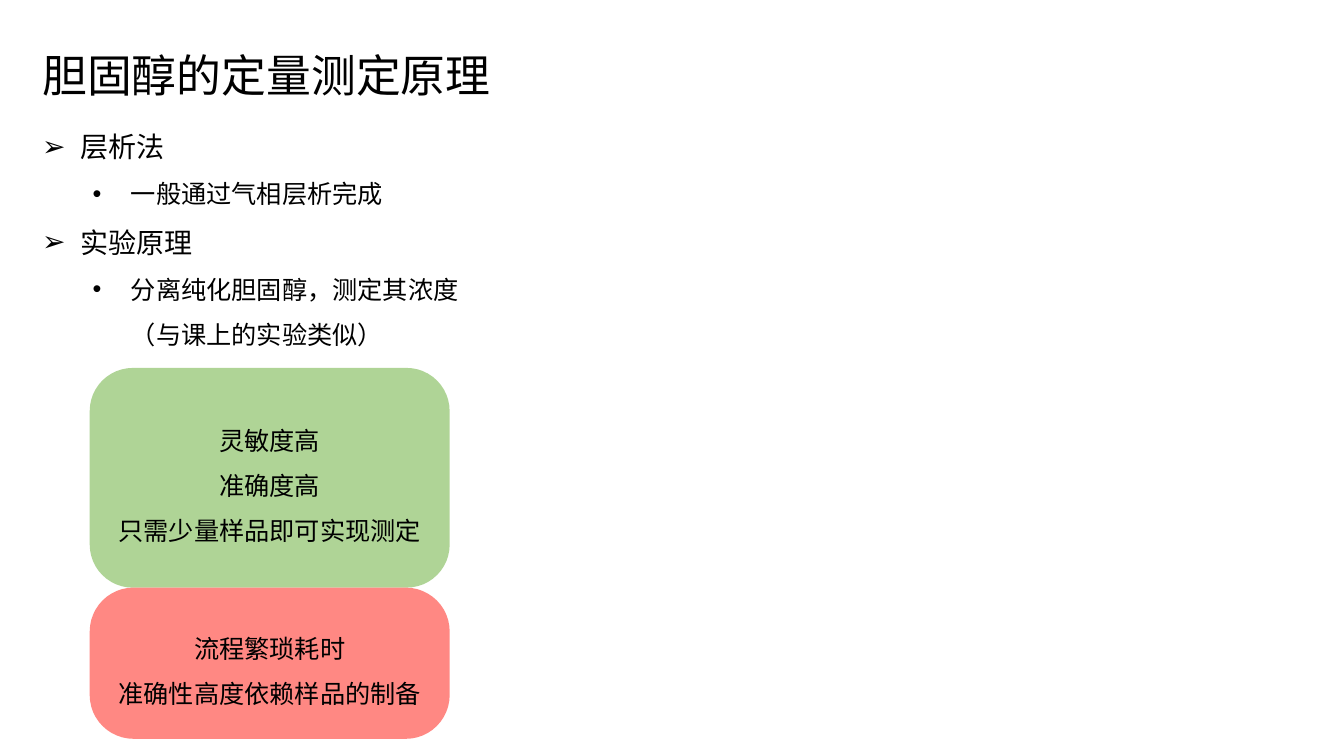
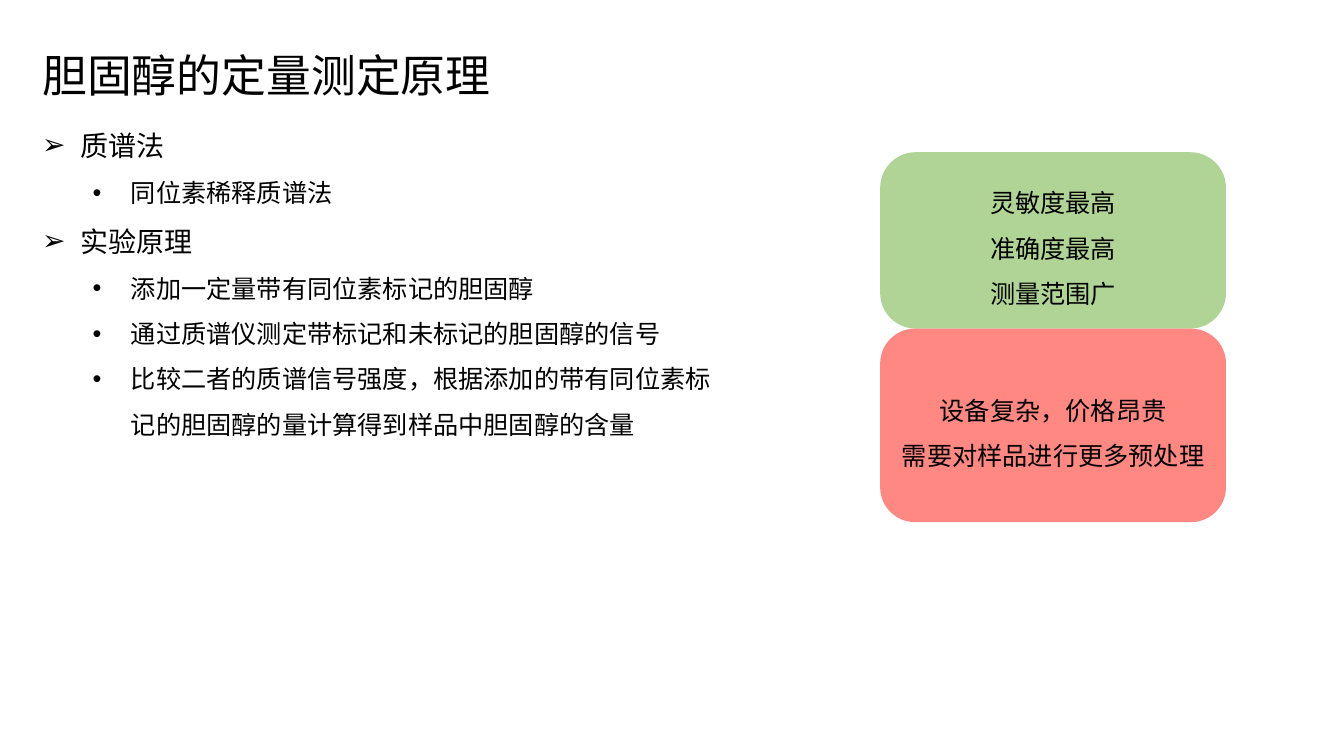
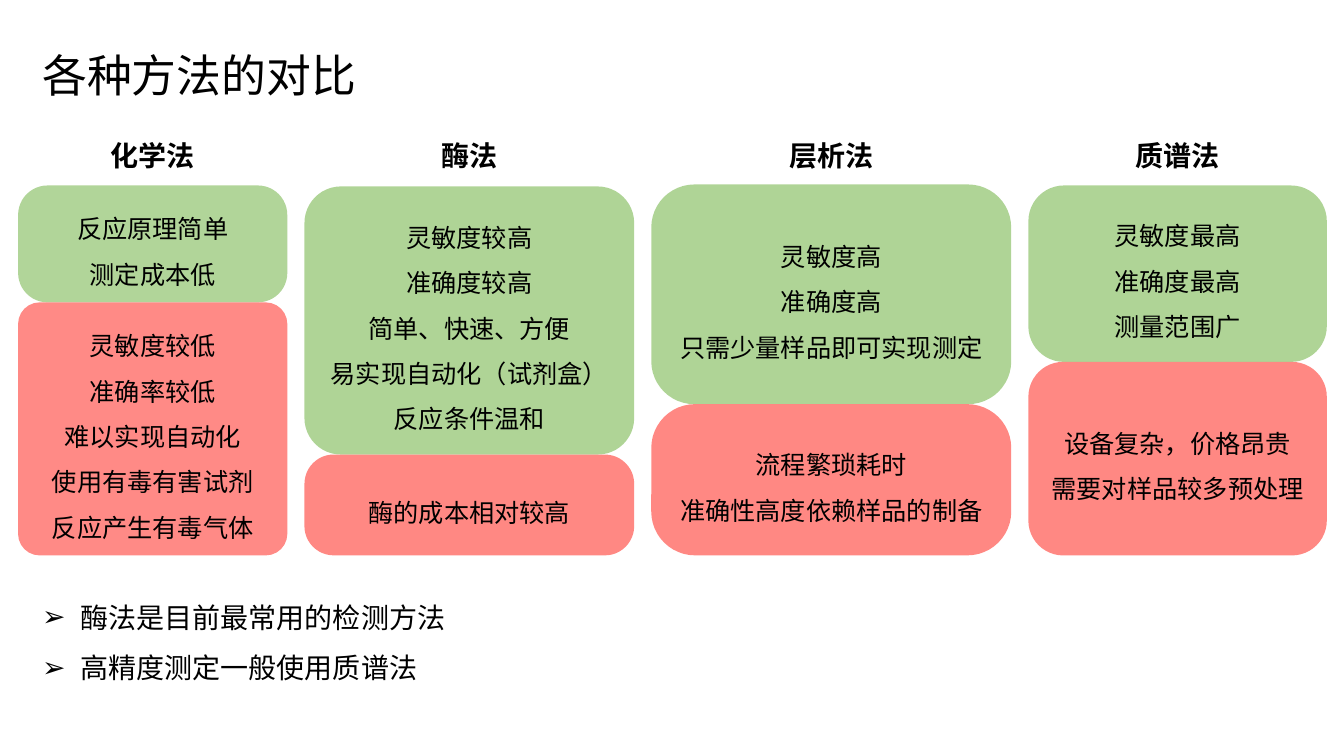
"""Build three slides comparing methods of cholesterol measurement."""
from dataclasses import dataclass

from lxml.etree import SubElement
from pptx import Presentation
from pptx.dml.color import RGBColor
from pptx.enum.shapes import MSO_SHAPE
from pptx.enum.text import MSO_ANCHOR, MSO_AUTO_SIZE, PP_ALIGN
from pptx.oxml.ns import qn
from pptx.util import Inches, Pt

COLORS = {"text": "000000", "pros": "A9D18E", "cons": "FF7E79"}
FONT = "Calibri"
MARGIN = 0.32
PRINCIPLE_TITLE = "胆固醇的定量测定原理"
BULLETS = [("➢", 0.38, 20), ("•", 0.88, 18)]
HANGING = 0.38


@dataclass
class Card:
    """One rounded card of pros or cons."""
    height: float
    rounding: float
    lines: list
    font: str = FONT


@dataclass
class Method:
    """A measuring method with its pros and cons cards."""
    name: str
    width: float
    pros: Card
    cons: Card
    opacity: int = 92

    def height(self):
        """Return the height of both cards together."""
        return self.pros.height + self.cons.height


CHEMICAL = Method(
    "化学法", 2.67,
    Card(1.16, 0.252, ["反应原理简单", "测定成本低"]),
    Card(2.51, 0.085, ["灵敏度较低", "准确率较低", "难以实现自动化",
                       "使用有毒有害试剂", "反应产生有毒气体"]),
    opacity=90)
ENZYME = Method(
    "酶法", 3.27,
    Card(2.66, 0.136, ["灵敏度较高", "准确度较高", "简单、快速、方便",
                       "易实现自动化（试剂盒）", "反应条件温和"]),
    Card(1.0, 0.29, ["酶的成本相对较高"]))
CHROMATOGRAPHY = Method(
    "层析法", 3.57,
    Card(2.18, 0.196, ["灵敏度高", "准确度高", "只需少量样品即可实现测定"], "Arial"),
    Card(1.5, 0.29, ["流程繁琐耗时", "准确性高度依赖样品的制备"]))


def mass_spectrometry(width, preparation):
    """Return the mass spectrometry method with its preparation remark."""
    return Method(
        "质谱法", width,
        Card(1.75, 0.202, ["灵敏度最高", "准确度最高", "测量范围广"]),
        Card(1.92, 0.18, ["设备复杂，价格昂贵", preparation]))


def style(para, size, font=FONT, bold=False):
    """Set the font of a whole paragraph."""
    para.font.name = font
    para.font.size = Pt(size)
    para.font.bold = bold
    para.font.color.rgb = RGBColor.from_string(COLORS["text"])


def paragraphs(frame, texts):
    """Fill a text frame and return its paragraphs."""
    frame.text = "\n".join(texts)
    return frame.paragraphs


def add_page(deck, title):
    """Add a slide with the shared title style."""
    page = deck.slides.add_slide(deck.slide_layouts[5])
    box = page.shapes.title
    box.left, box.top = Inches(MARGIN), Inches(0.42)
    box.width, box.height = Inches(7.45), Inches(0.64)
    frame = box.text_frame
    frame.auto_size = MSO_AUTO_SIZE.NONE
    frame.vertical_anchor = MSO_ANCHOR.TOP
    para = paragraphs(frame, [title])[0]
    para.alignment = PP_ALIGN.LEFT
    style(para, 32)
    return page


def add_text_box(page, left, top, width, height):
    """Add a wrapping text box and return its frame."""
    box = page.shapes.add_textbox(
        Inches(left), Inches(top), Inches(width), Inches(height))
    box.text_frame.word_wrap = True
    return box.text_frame


def add_outline(page, top, width, height, items):
    """Add a bulleted outline of (level, text) items."""
    frame = add_text_box(page, MARGIN, top, width, height)
    texts = [text for _, text in items]
    for para, (level, _) in zip(paragraphs(frame, texts), items):
        symbol, indent, size = BULLETS[level]
        para.level = level
        para.line_spacing = 1.5
        properties = para._p.get_or_add_pPr()
        properties.set("marL", str(Inches(indent)))
        properties.set("indent", str(-Inches(HANGING)))
        SubElement(properties, qn("a:buFont"), typeface="Arial")
        SubElement(properties, qn("a:buChar"), char=symbol)
        style(para, size)


def add_card(page, left, top, width, card, color, opacity):
    """Add one translucent rounded card."""
    shape = page.shapes.add_shape(
        MSO_SHAPE.ROUNDED_RECTANGLE, Inches(left), Inches(top),
        Inches(width), Inches(card.height))
    shape.adjustments[0] = card.rounding
    shape.shadow.inherit = False
    shape.line.fill.background()
    shape.fill.solid()
    shape.fill.fore_color.rgb = RGBColor.from_string(color)
    fill_color = shape.element.spPr.find(".//" + qn("a:srgbClr"))
    SubElement(fill_color, qn("a:alpha"), val=str(opacity * 1000))
    shape.text_frame.vertical_anchor = MSO_ANCHOR.MIDDLE
    for para in paragraphs(shape.text_frame, card.lines):
        para.alignment = PP_ALIGN.CENTER
        para.line_spacing = 1.5
        style(para, 18, card.font)


def add_method(page, left, top, method):
    """Stack the pros card on the cons card of a method."""
    cards = [(method.pros, COLORS["pros"]), (method.cons, COLORS["cons"])]
    for card, color in cards:
        add_card(page, left, top, method.width, card, color, method.opacity)
        top += card.height


def add_comparison(page, left, bottom, gap, methods):
    """Set headed methods side by side on a common bottom line."""
    for method in methods:
        frame = add_text_box(page, left, 1.33, method.width, 0.44)
        heading = paragraphs(frame, [method.name])[0]
        heading.alignment = PP_ALIGN.CENTER
        style(heading, 20, bold=True)
        add_method(page, left, bottom - method.height(), method)
        left += method.width + gap


def main():
    """Build and save the deck."""
    deck = Presentation()
    deck.slide_width, deck.slide_height = Inches(13.33), Inches(7.5)

    page = add_page(deck, PRINCIPLE_TITLE)
    add_outline(page, 1.07, 4.59, 2.43, [
        (0, "层析法"),
        (1, "一般通过气相层析完成"),
        (0, "实验原理"),
        (1, "分离纯化胆固醇，测定其浓度（与课上的实验类似）"),
    ])
    add_method(page, 0.89, 3.65, CHROMATOGRAPHY)

    page = add_page(deck, PRINCIPLE_TITLE)
    add_outline(page, 1.06, 6.94, 3.34, [
        (0, "质谱法"),
        (1, "同位素稀释质谱法"),
        (0, "实验原理"),
        (1, "添加一定量带有同位素标记的胆固醇"),
        (1, "通过质谱仪测定带标记和未标记的胆固醇的信号"),
        (1, "比较二者的质谱信号强度，根据添加的带有同位素标记的胆固醇的量"
            "计算得到样品中胆固醇的含量"),
    ])
    add_method(page, 8.73, 1.51,
               mass_spectrometry(3.43, "需要对样品进行更多预处理"))

    page = add_page(deck, "各种方法的对比")
    add_comparison(page, 0.18, 5.51, 0.17, [
        CHEMICAL, ENZYME, CHROMATOGRAPHY,
        mass_spectrometry(2.96, "需要对样品较多预处理")])
    add_outline(page, 5.74, 4.59, 1.06, [
        (0, "酶法是目前最常用的检测方法"),
        (0, "高精度测定一般使用质谱法"),
    ])
    deck.save("out.pptx")


if __name__ == "__main__":
    main()
